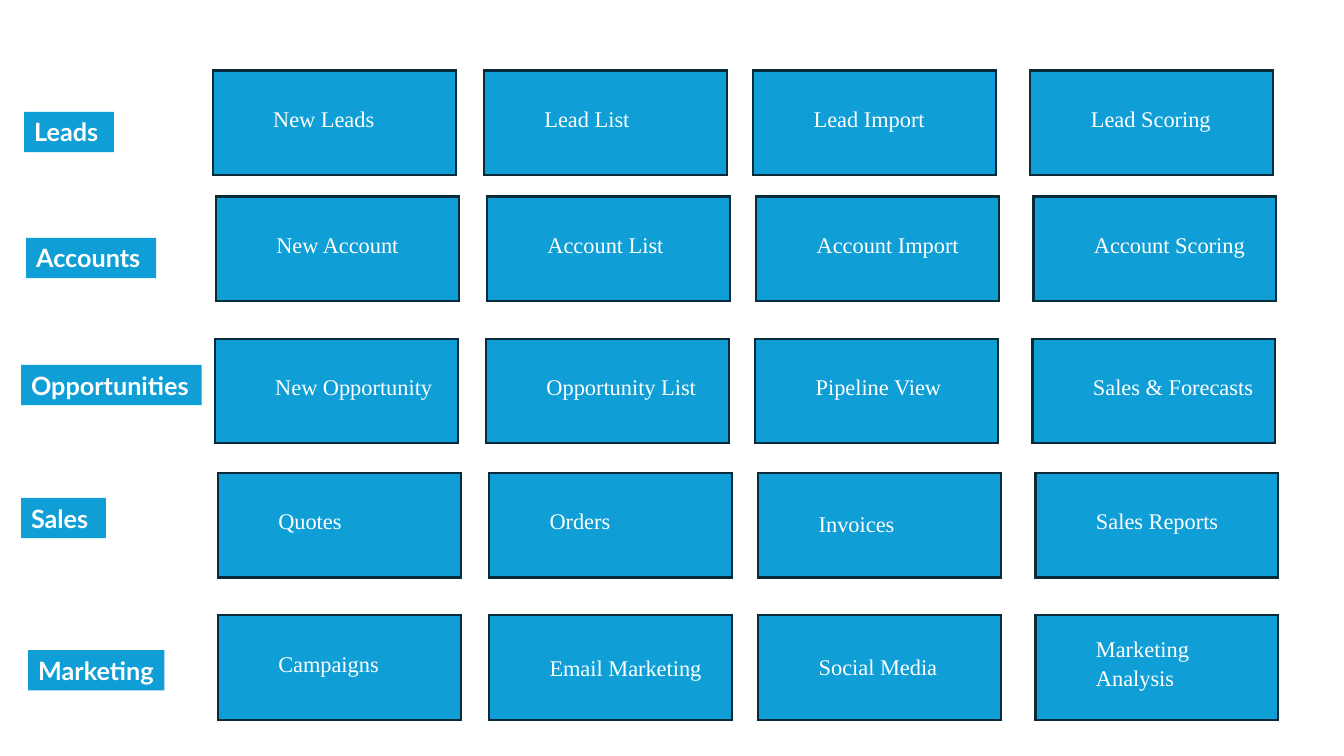
from dataclasses import dataclass

from lxml import etree
from pptx import Presentation
from pptx.dml.color import RGBColor
from pptx.enum.shapes import MSO_SHAPE
from pptx.enum.text import MSO_ANCHOR, MSO_AUTO_SIZE, PP_ALIGN
from pptx.oxml.ns import qn
from pptx.shapes.autoshape import Shape
from pptx.slide import Slide
from pptx.util import Inches, Pt

RECT = MSO_SHAPE.RECTANGLE
MIDDLE, TOP = MSO_ANCHOR.MIDDLE, MSO_ANCHOR.TOP
FIT_SHAPE = MSO_AUTO_SIZE.SHAPE_TO_FIT_TEXT
LEFT = PP_ALIGN.LEFT

BLUE, NAVY, WHITE = "0F9ED5", "092A39", "FFFFFF"
COLUMN_OFFSETS = (0, 2.69, 5.36, 8.11)
CARD_W, CARD_H = 2.41, 1.04
LABEL_H = 0.4
LABEL_RIGHT_INSET = 0.05
TEXT_INDENT = 0.6
BASE_INSET = 0.05
TEXT_LIFT = 0.05
LOWER_TEXT_LIFT = {"Invoices": 0.02, "Social Media": 0.02, "Email Marketing": 0.01}


@dataclass(frozen=True)
class Row:
    """A labelled row of cards; lengths are in inches."""
    label: str
    label_left: float
    label_top: float
    label_width: float
    left: float
    top: float
    cards: tuple[str, ...]


ROWS = (
    Row("Leads", 0.24, 1.11, 0.89, 2.11, 0.7,
        ("New Leads", "Lead List", "Lead Import", "Lead Scoring")),
    Row("Accounts", 0.26, 2.36, 1.29, 2.14, 1.95,
        ("New Account", "Account List", "Account Import", "Account Scoring")),
    Row("Opportunities", 0.21, 3.62, 1.79, 2.13, 3.36,
        ("New Opportunity", "Opportunity List", "Pipeline View", "Sales & Forecasts")),
    Row("Sales", 0.21, 4.94, 0.84, 2.16, 4.69,
        ("Quotes", "Orders", "Invoices", "Sales Reports")),
    Row("Marketing", 0.28, 6.45, 1.35, 2.16, 6.1,
        ("Campaigns", "Email Marketing", "Social Media", "Marketing Analysis")),
)


def color(value: str) -> RGBColor:
    return RGBColor.from_string(value)


def add_box(s: Slide, left: float, top: float, width: float, height: float,
            text: str, font: str, size: float) -> Shape:
    """Add a blue rectangle with left-aligned white text."""
    sp = s.shapes.add_shape(RECT, Inches(left), Inches(top), Inches(width), Inches(height))
    sp.shadow.inherit = False
    sp.fill.solid()
    sp.fill.fore_color.rgb = color(BLUE)
    p = sp.text_frame.paragraphs[0]
    p.text = text
    p.alignment = LEFT
    p.font.name = font
    p.font.size = Pt(size)
    p.font.color.rgb = color(WHITE)
    return sp


def add_label(s: Slide, row: Row) -> None:
    sp = add_box(s, row.label_left, row.label_top, row.label_width, LABEL_H,
                 row.label, "Lato", 18)
    sp.line.fill.background()
    tf = sp.text_frame
    tf.word_wrap = False
    tf.auto_size = FIT_SHAPE
    tf.vertical_anchor = TOP
    tf.margin_right = Inches(LABEL_RIGHT_INSET)
    tf.paragraphs[0].font.bold = True


def add_card(s: Slide, left: float, top: float, text: str) -> None:
    """Add an outlined card with square corners and indented text."""
    sp = add_box(s, left, top, CARD_W, CARD_H, text, "Times New Roman", 16)
    sp.line.color.rgb = color(NAVY)
    sp.line.width = Pt(1.5)
    ln = sp.element.spPr.find(qn("a:ln"))
    etree.SubElement(ln, qn("a:miter"), lim="800000")
    tf = sp.text_frame
    tf.word_wrap = True
    tf.vertical_anchor = MIDDLE
    tf.margin_left = Inches(TEXT_INDENT)
    tf.margin_bottom = Inches(BASE_INSET + 2 * LOWER_TEXT_LIFT.get(text, TEXT_LIFT))
    p = tf.paragraphs[0]
    p.line_spacing = 1.07
    p.space_after = Pt(8)


def main() -> None:
    prs = Presentation()
    prs.slide_width, prs.slide_height = Inches(13.33), Inches(7.5)
    s = prs.slides.add_slide(prs.slide_layouts[6])
    for row in ROWS:
        add_label(s, row)
        for offset, text in zip(COLUMN_OFFSETS, row.cards):
            add_card(s, row.left + offset, row.top, text)
    prs.save("out.pptx")


if __name__ == "__main__":
    main()
